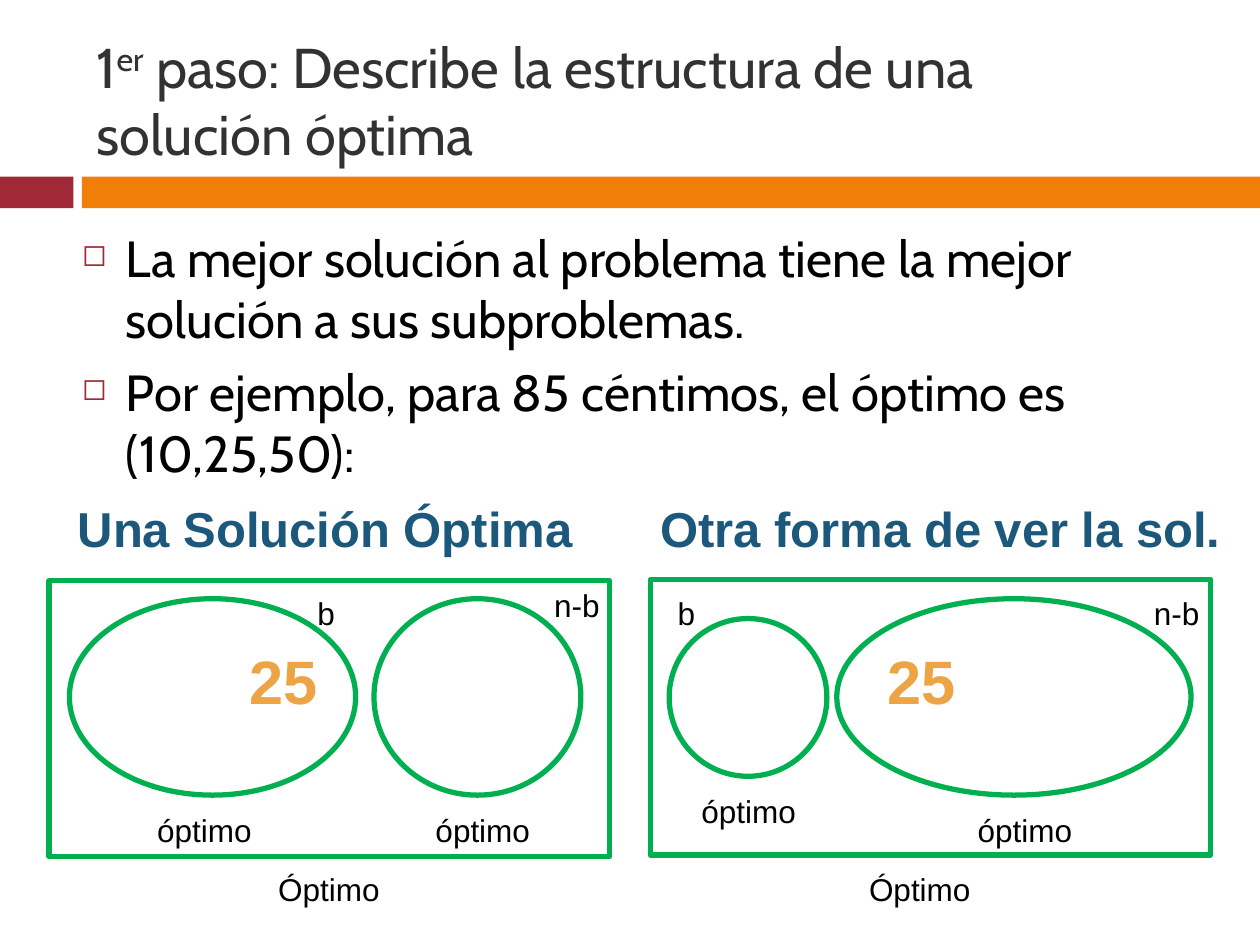
from lxml import etree
from pptx import Presentation
from pptx import util as u
from pptx.dml.color import RGBColor
from pptx.enum import shapes, text
from pptx.oxml.ns import qn

BLACK = RGBColor(0x00, 0x00, 0x00)
GRAY = RGBColor(0x32, 0x32, 0x32)
RED = RGBColor(0x9F, 0x29, 0x36)
ORANGE = RGBColor(0xF0, 0x7F, 0x09)
GREEN = RGBColor(0x00, 0xB0, 0x50)
BLUE = RGBColor(0x1B, 0x58, 0x7C)
GOLD = RGBColor(0xEC, 0xA4, 0x46)

TITLE = [("1", 0), ("er", 30), (" paso: Describe la estructura de una solución óptima", 0)]
BULLETS = [
    "La mejor solución al problema tiene la mejor solución a sus subproblemas.",
    "Por ejemplo, para 85 céntimos, el óptimo es (10,25,50):",
]
BARS = [(0, 1.48, RED), (1.65, 23.75, ORANGE)]
PANEL_W, PANEL_H = 11.3, 5.56
LABEL_H = 1.02
PANELS = [
    {
        "heading": ("Una Solución Óptima", 0.99, 11.13),
        "frame": (0.99, 11.71),
        "ellipses": [(1.4, 12.07, 5.77, 3.96), (7.54, 12.07, 4.17, 3.96)],
        "coin": (4.78, 12.85),
        "labels": [("óptimo", 2.92, 16.23, 2.44), ("óptimo", 8.53, 16.23, 2.44),
                   ("b", 6.15, 11.86, 0.86), ("n-b", 10.92, 11.68, 1.45),
                   ("Óptimo", 5.36, 17.42, 2.59)],
    },
    {
        "heading": ("Otra forma de ver la sol.", 12.9, 12.12),
        "frame": (13.11, 11.68),
        "ellipses": [(16.87, 12.07, 7.14, 3.96), (13.49, 12.47, 3.18, 3.18)],
        "coin": (17.65, 12.85),
        "labels": [("óptimo", 13.89, 15.85, 2.44), ("óptimo", 19.46, 16.23, 2.44),
                   ("b", 13.41, 11.86, 0.86), ("n-b", 23.01, 11.86, 1.45),
                   ("Óptimo", 17.27, 17.42, 2.59)],
    },
]


def add_text(s, paragraphs, box, size=18, font="Arial", color=BLACK, bold=False,
             align=text.PP_ALIGN.LEFT, anchor=text.MSO_ANCHOR.TOP, wrap=True,
             bullet=False, gap=0):
    sp = s.shapes.add_textbox(*map(u.Cm, box))
    tf = sp.text_frame
    tf.word_wrap = wrap
    tf.vertical_anchor = anchor
    if isinstance(paragraphs, str):
        paragraphs = [[(paragraphs, 0)]]
    for i, runs in enumerate(paragraphs):
        p = tf.paragraphs[0] if i == 0 else tf.add_paragraph()
        p.alignment = align
        if i and gap:
            p.space_before = u.Pt(gap)
        if bullet:
            add_bullet(p)
        for content, baseline in runs:
            r = p.add_run()
            r.text = content
            r.font.size = u.Pt(size)
            r.font.name = font
            r.font.bold = bold
            r.font.color.rgb = color
            if baseline:
                r.font._element.set("baseline", str(baseline * 1000))
    return sp


def add_bullet(p):
    pPr = p._p.get_or_add_pPr()
    indent = u.Cm(0.89)
    pPr.set("marL", str(indent))
    pPr.set("indent", str(-indent))
    clr = etree.SubElement(pPr, qn("a:buClr"))
    etree.SubElement(clr, qn("a:srgbClr"), val=str(RED))
    etree.SubElement(pPr, qn("a:buSzPct"), val="60000")
    etree.SubElement(pPr, qn("a:buChar"), char="◻")


def add_shape(s, kind, box, fill=None, line=None):
    sp = s.shapes.add_shape(kind, *map(u.Cm, box))
    sp.shadow.inherit = False
    if fill is None:
        sp.fill.background()
    else:
        sp.fill.solid()
        sp.fill.fore_color.rgb = fill
    if line is None:
        sp.line.fill.background()
    else:
        sp.line.color.rgb = line
        sp.line.width = u.Pt(3)
    return sp


def add_panel(s, panel):
    for box in panel["ellipses"]:
        add_shape(s, shapes.MSO_SHAPE.OVAL, box, line=GREEN)
    add_shape(s, shapes.MSO_SHAPE.RECTANGLE, (*panel["frame"], PANEL_W, PANEL_H), line=GREEN)
    add_text(s, "25", (*panel["coin"], 1.9, 1.75), size=35, color=GOLD, bold=True, wrap=False)
    for label, x, y, w in panel["labels"]:
        add_text(s, label, (x, y, w, LABEL_H), wrap=False)
    heading, x, w = panel["heading"]
    add_text(s, heading, (x, 9.93, w, 1.45), size=28, color=BLUE, bold=True,
             align=text.PP_ALIGN.CENTER)


def main():
    prs = Presentation()
    prs.slide_width, prs.slide_height = u.Cm(25.4), u.Cm(19.05)
    s = prs.slides.add_slide(prs.slide_layouts[6])
    for x, w, color in BARS:
        add_shape(s, shapes.MSO_SHAPE.RECTANGLE, (x, 3.56, w, 0.64), fill=color)
    add_text(s, [TITLE], (1.7, 0.64, 18.75, 2.74), size=32, font="Cabin", color=GRAY,
             anchor=text.MSO_ANCHOR.MIDDLE)
    add_text(s, [[(b, 0)] for b in BULLETS], (1.4, 4.45, 22.91, 13), size=29, font="Cabin",
             bullet=True, gap=7)
    for panel in PANELS:
        add_panel(s, panel)
    prs.save("out.pptx")


if __name__ == "__main__":
    main()
